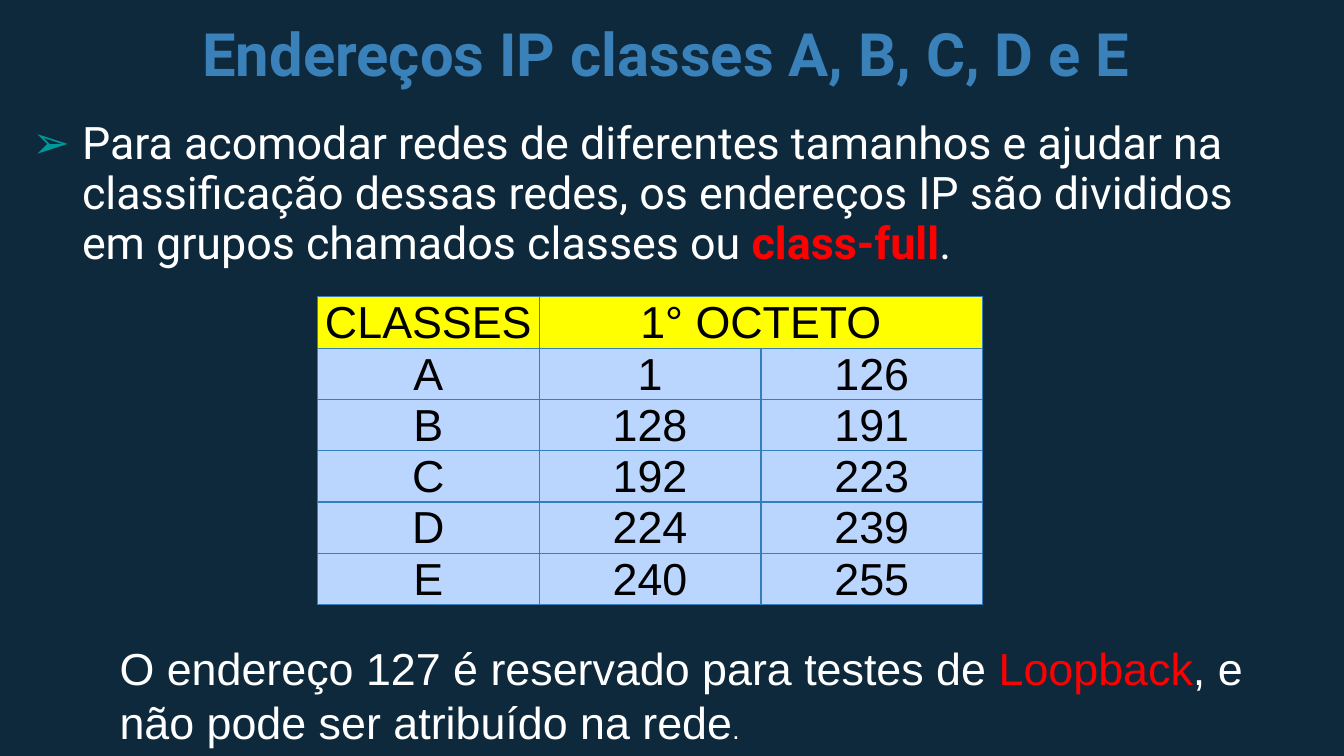
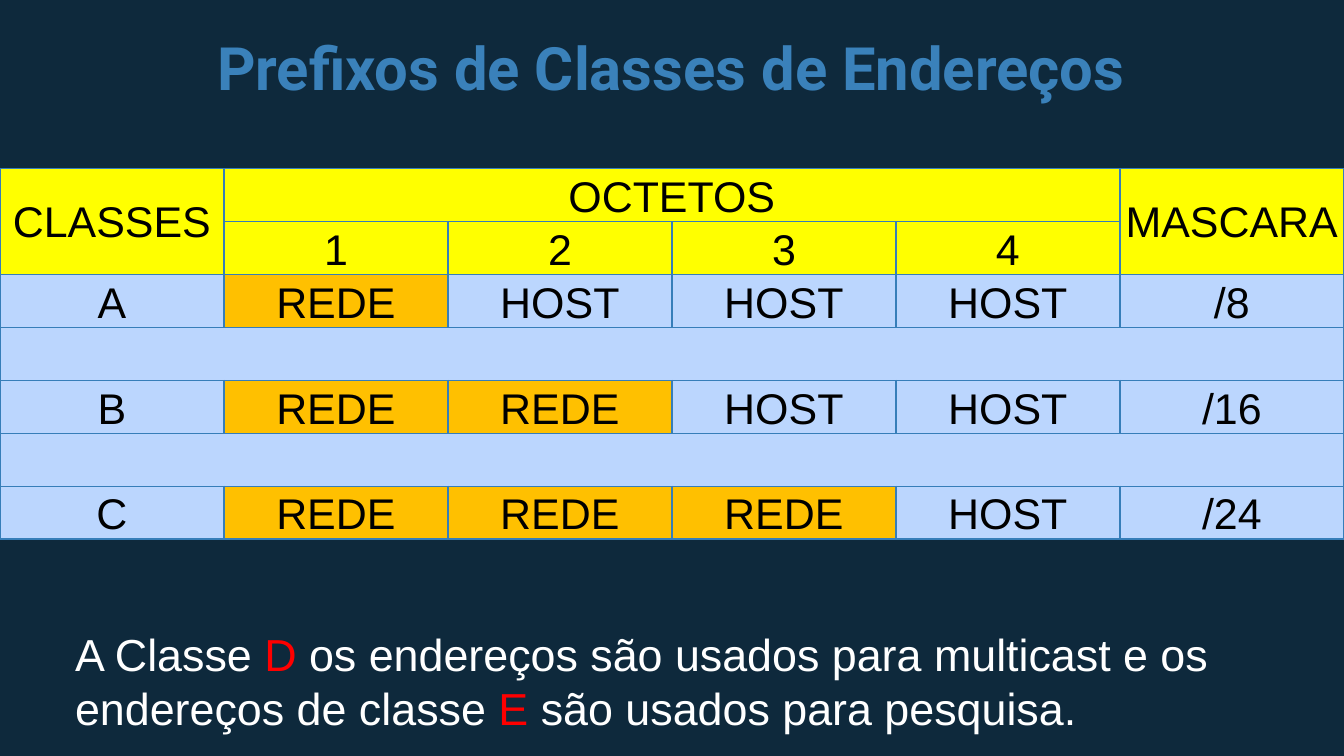
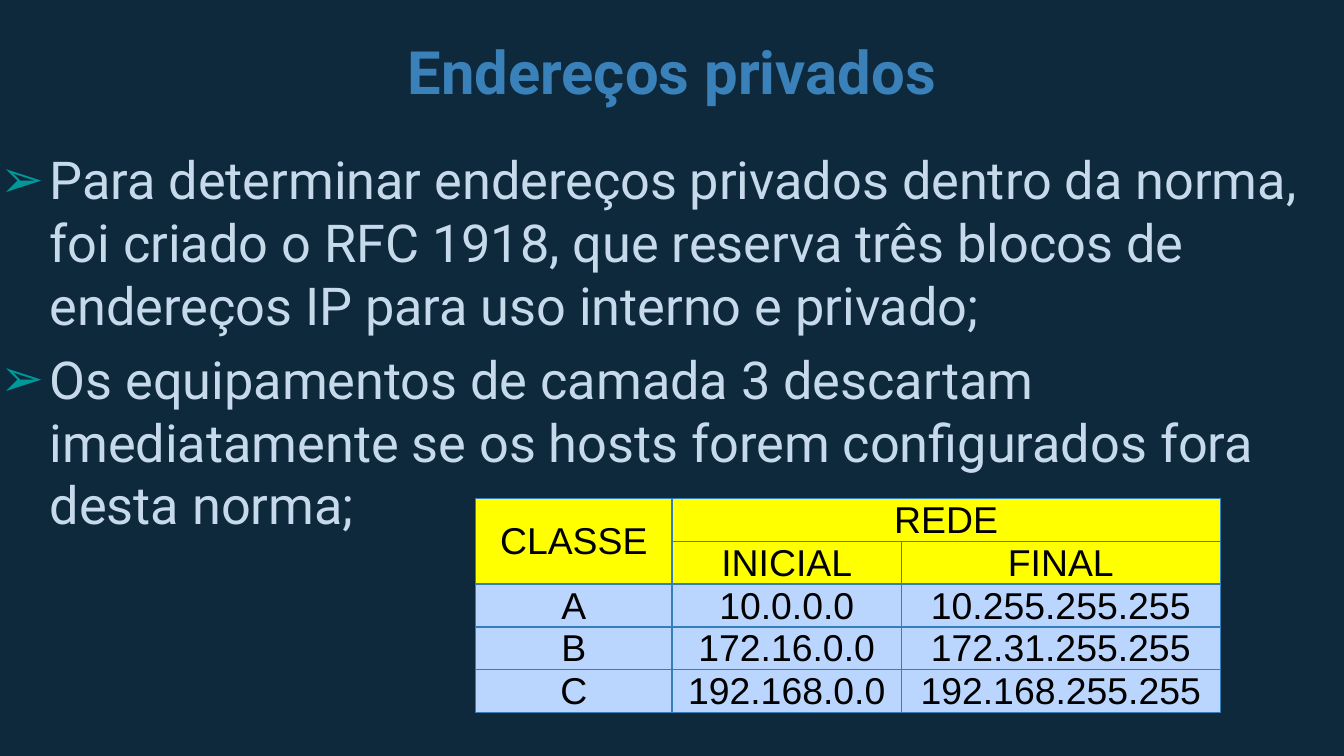
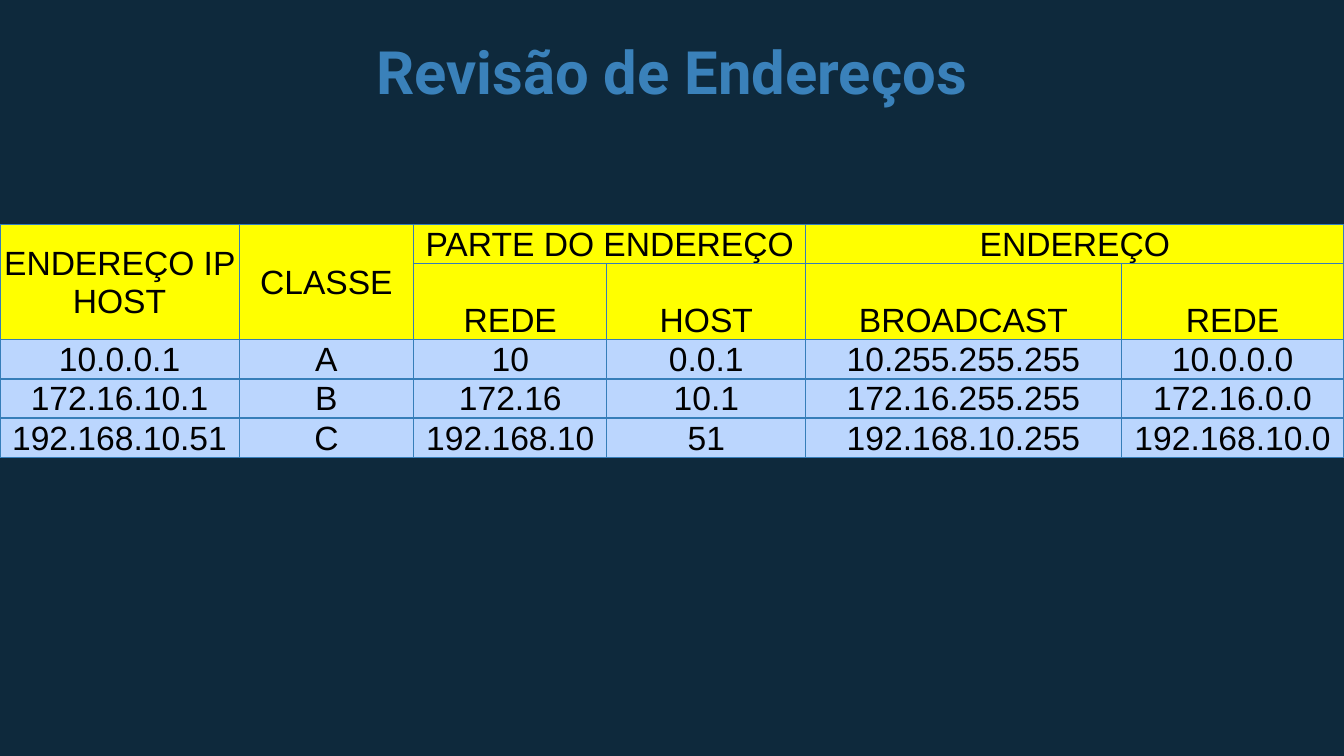
import pptx
import pptx.dml.color
import pptx.enum.text
import pptx.oxml
import pptx.oxml.ns
import pptx.util
from lxml import etree

Cm, Pt = pptx.util.Cm, pptx.util.Pt
ALIGN = pptx.enum.text.PP_ALIGN
ANCHOR = pptx.enum.text.MSO_ANCHOR

# Shared look
NIGHT, TITLE_BLUE, BULLET_TEAL = "0E293C", "3A81BA", "009999"
WHITE, PALE_BLUE, RED, BLACK = "FFFFFF", "C6DAEC", "FF0000", "000000"
HEADER_YELLOW, NETWORK_AMBER = "FFFF00", "FFC000"
CELL_BLUE, GRID_BLUE = "BBD6FE", "367EB9"
HEADING_FONT, TABLE_FONT = "Roboto", "Arial"
SLIDE_WIDTH, SLIDE_HEIGHT = 25.4, 14.29
HANGING = 0.94

# Table cells that continue the one to the left or above
LEFT, ABOVE = "<", "^"


def color(hex_string):
    return pptx.dml.color.RGBColor.from_string(hex_string)


def write(frame, paragraphs, size, font, ink, bold=False, align=None,
          line_spacing=None, space_before=None, bullet=None):
    """Each paragraph is a list of strings or (string, overrides) pairs."""
    frame.word_wrap = True
    for index, parts in enumerate(paragraphs):
        paragraph = frame.add_paragraph() if index else frame.paragraphs[0]
        paragraph.alignment = align
        paragraph.line_spacing = line_spacing
        if space_before is not None:
            paragraph.space_before = Pt(space_before)
        if bullet:
            add_bullet(paragraph, bullet)
        for part in parts:
            text, changes = (part, {}) if isinstance(part, str) else part
            run = paragraph.add_run()
            run.text = text
            run.font.name = font
            run.font.size = Pt(changes.get("size", size))
            run.font.bold = changes.get("bold", bold)
            run.font.color.rgb = color(changes.get("ink", ink))


def add_bullet(paragraph, symbol):
    properties = paragraph._p.get_or_add_pPr()
    properties.set("marL", str(Cm(HANGING)))
    properties.set("indent", str(-Cm(HANGING)))
    tint = etree.SubElement(properties, pptx.oxml.ns.qn("a:buClr"))
    etree.SubElement(tint, pptx.oxml.ns.qn("a:srgbClr"), val=BULLET_TEAL)
    etree.SubElement(properties, pptx.oxml.ns.qn("a:buChar"), char=symbol)


def place(shape, left, top, width, height):
    shape.left, shape.top = Cm(left), Cm(top)
    shape.width, shape.height = Cm(width), Cm(height)


def set_margins(holder, left, top, right, bottom):
    holder.margin_left, holder.margin_top = Cm(left), Cm(top)
    holder.margin_right, holder.margin_bottom = Cm(right), Cm(bottom)


def add_slide(prs, title, title_box, has_list=False, margins=(0, 0, 0, 0),
              line_spacing=0.93):
    slide = prs.slides.add_slide(prs.slide_layouts[1 if has_list else 5])
    heading = slide.shapes.title
    place(heading, *title_box)
    frame = heading.text_frame
    frame.auto_size = pptx.enum.text.MSO_AUTO_SIZE.NONE
    frame.vertical_anchor = ANCHOR.BOTTOM
    set_margins(frame, *margins)
    write(frame, [[title]], 32, HEADING_FONT, TITLE_BLUE, bold=True,
          align=ALIGN.CENTER, line_spacing=line_spacing)
    return slide


def fill_list(slide, box, paragraphs, size, ink, line_spacing=None):
    body = slide.placeholders[1]
    place(body, *box)
    body.text_frame.auto_size = pptx.enum.text.MSO_AUTO_SIZE.NONE
    set_margins(body.text_frame, 0, 0, 0, 0)
    write(body.text_frame, paragraphs, size, HEADING_FONT, ink,
          line_spacing=line_spacing, space_before=6, bullet="➢")


def add_note(slide, box, parts):
    note = slide.shapes.add_textbox(*map(Cm, box))
    write(note.text_frame, [parts], 24, TABLE_FONT, WHITE)


def outline_cell(cell):
    properties = cell._tc.get_or_add_tcPr()
    for position, side in enumerate(("lnL", "lnR", "lnT", "lnB")):
        properties.insert(position, pptx.oxml.parse_xml(
            f'<a:{side} {pptx.oxml.ns.nsdecls("a")} w="{Pt(0.75)}">'
            f'<a:solidFill><a:srgbClr val="{GRID_BLUE}"/></a:solidFill>'
            f'</a:{side}>'))


def span_of(rows, r, c):
    """Last row and column that the cell at r, c reaches."""
    last_row, last_col = r, c
    while last_col + 1 < len(rows[r]) and rows[r][last_col + 1] == LEFT:
        last_col += 1
    while last_row + 1 < len(rows) and rows[last_row + 1][c] == ABOVE:
        last_row += 1
    return last_row, last_col


def add_grid(slide, left, top, widths, heights, rows, size, header_rows):
    table = slide.shapes.add_table(
        len(rows), len(widths), Cm(left), Cm(top),
        Cm(sum(widths)), Cm(sum(heights))).table
    for column, width in zip(table.columns, widths):
        column.width = Cm(width)
    for row, height in zip(table.rows, heights):
        row.height = Cm(height)
    for r, texts in enumerate(rows):
        for c, text in enumerate(texts):
            cell = table.cell(r, c)
            fill = (HEADER_YELLOW if r < header_rows
                    else NETWORK_AMBER if text == "REDE" else CELL_BLUE)
            cell.fill.solid()
            cell.fill.fore_color.rgb = color(fill)
            outline_cell(cell)
            set_margins(cell, 0.02, 0.02, 0.02, 0)
            if text in (LEFT, ABOVE):
                continue
            last_row, last_col = span_of(rows, r, c)
            if (last_row, last_col) != (r, c):
                cell.merge(table.cell(last_row, last_col))
            cell.vertical_anchor = (ANCHOR.MIDDLE if last_row > r
                                    else ANCHOR.BOTTOM)
            if text:
                write(cell.text_frame, [[text]], size, TABLE_FONT, BLACK,
                      align=ALIGN.CENTER)


def build_classes(prs):
    slide = add_slide(prs, "Endereços IP classes A, B, C, D e E ",
                      (0.3, 0, 24.87, 1.7), has_list=True)
    fill_list(slide, (0.61, 2.26, 23.11, 6.15), [[
        "Para acomodar redes de diferentes tamanhos e ajudar na "
        "classificação dessas redes, os endereços IP são divididos em "
        "grupos chamados classes ou ",
        ("class-full", {"ink": RED, "bold": True}), "."]],
        24, WHITE, line_spacing=0.93)
    ranges = [
        ["CLASSES", "1° OCTETO", LEFT],
        ["A", "1", "126"],
        ["B", "128", "191"],
        ["C", "192", "223"],
        ["D", "224", "239"],
        ["E", "240", "255"],
    ]
    add_grid(slide, 6, 5.61, [4.19] * 3, [0.97] * 6, ranges, 24, 1)
    add_note(slide, (2.01, 11.99, 21.79, 2.31), [
        "O endereço 127 é reservado para testes de ",
        ("Loopback", {"ink": RED}),
        ", e não pode ser atribuído na rede", (".", {"size": 14})])


def build_prefixes(prs):
    slide = add_slide(prs, "Prefixos de Classes de Endereços",
                      (0.23, 0, 24.92, 2.03),
                      margins=(0.23, 0.1, 0.23, 0.1), line_spacing=None)
    add_note(slide, (1.17, 11.73, 22.96, 2.31), [
        "A Classe ", ("D ", {"ink": RED}),
        "os endereços são usados para multicast e os endereços de classe ",
        ("E ", {"ink": RED}), "são usados para pesquisa."])
    blank = [""] + [LEFT] * 5
    prefixes = [
        ["CLASSES", "OCTETOS", LEFT, LEFT, LEFT, "MASCARA"],
        [ABOVE, "1", "2", "3", "4", ABOVE],
        ["A", "REDE", "HOST", "HOST", "HOST", "/8"],
        blank,
        ["B", "REDE", "REDE", "HOST", "HOST", "/16"],
        blank,
        ["C", "REDE", "REDE", "REDE", "HOST", "/24"],
    ]
    add_grid(slide, 0, 3.19, [SLIDE_WIDTH / 6] * 6, [1] * 7, prefixes, 23, 2)


def build_private(prs):
    slide = add_slide(prs, "Endereços privados", (1.27, 0.58, 22.86, 1.45),
                      has_list=True)
    fill_list(slide, (0, 2.79, 24.77, 7.26), [
        ["Para determinar endereços privados dentro da norma, foi criado o "
         "RFC 1918, que reserva três blocos de endereços IP para uso "
         "interno e privado;"],
        ["Os equipamentos de camada 3 descartam imediatamente se os hosts "
         "forem configurados fora desta norma;"]], 28, PALE_BLUE)
    blocks = [
        ["CLASSE", "REDE", LEFT],
        [ABOVE, "INICIAL", "FINAL"],
        ["A", "10.0.0.0", "10.255.255.255"],
        ["B", "172.16.0.0", "172.31.255.255"],
        ["C", "192.168.0.0", "192.168.255.255"],
    ]
    add_grid(slide, 8.99, 9.42, [3.71, 4.34, 6.02], [0.81] * 5, blocks, 20, 2)


def build_review(prs):
    slide = add_slide(prs, "Revisão de Endereços", (1.27, 0.58, 22.86, 1.45))
    review = [
        ["ENDEREÇO IP HOST", "CLASSE", "PARTE DO ENDEREÇO", LEFT,
         "ENDEREÇO", LEFT],
        [ABOVE, ABOVE, "REDE", "HOST", "BROADCAST", "REDE"],
        ["10.0.0.1", "A", "10", "0.0.1", "10.255.255.255", "10.0.0.0"],
        ["172.16.10.1", "B", "172.16", "10.1", "172.16.255.255",
         "172.16.0.0"],
        ["192.168.10.51", "C", "192.168.10", "51", "192.168.10.255",
         "192.168.10.0"],
    ]
    add_grid(slide, 0, 4.24, [4.52, 3.3, 3.65, 3.76, 5.96, 4.21],
             [0.74, 1.44, 0.74, 0.74, 0.74], review, 18, 2)


def main():
    prs = pptx.Presentation()
    prs.slide_width, prs.slide_height = Cm(SLIDE_WIDTH), Cm(SLIDE_HEIGHT)
    backdrop = prs.slide_master.background.fill
    backdrop.solid()
    backdrop.fore_color.rgb = color(NIGHT)
    build_classes(prs)
    build_prefixes(prs)
    build_private(prs)
    build_review(prs)
    prs.save("out.pptx")


if __name__ == "__main__":
    main()
